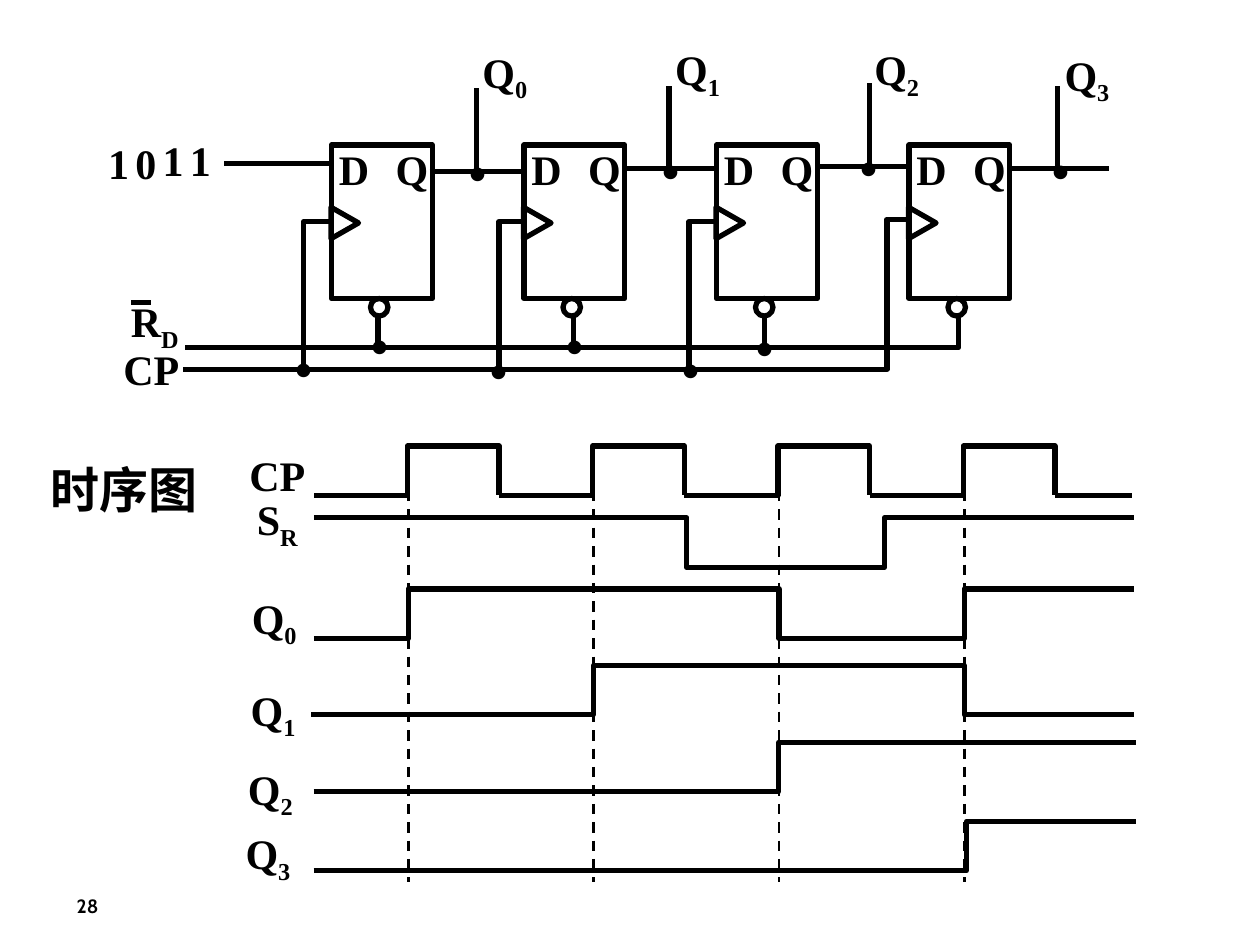
from dataclasses import dataclass

from lxml.etree import SubElement
from pptx import Presentation
from pptx.dml.color import RGBColor
from pptx.enum.dml import MSO_LINE_DASH_STYLE as Dash
from pptx.enum.shapes import MSO_CONNECTOR as Link, MSO_SHAPE as Form
from pptx.enum.text import PP_ALIGN as Align
from pptx.oxml.ns import qn
from pptx.util import Pt

BLACK = RGBColor(0, 0, 0)
SERIF = "Times New Roman"
FLIP_X, FLIP_Y, FLIP_GAP = 189.4, 82.8, 110
EDGE_X, EDGE_GAP = 233.3, 105.9
SWING = 28.2  # height of every signal step

Point = tuple[float, float]


@dataclass
class Label:
    x: float
    y: float
    text: str
    sub: str = ""


@dataclass
class Wave:
    start: float
    edges: list[float]
    end: float
    top: float
    high: bool = False


deck = Presentation()
deck.slide_width, deck.slide_height = Pt(720), Pt(540)
slide = deck.slides.add_slide(deck.slide_layouts[6])
shapes = slide.shapes


def write(x: float, y: float, w: float, h: float, text: str, *, sub: str = "",
          size: float = 24, font: str = SERIF, align: Align | None = None,
          gap: int = 50) -> None:
    """Add bold text, with an optional subscript and a gap above in percent."""
    frame = shapes.add_textbox(Pt(x), Pt(y), Pt(w), Pt(h)).text_frame
    frame.word_wrap = True
    para = frame.paragraphs[0]
    para.alignment = align
    if gap:
        before = SubElement(para._p.get_or_add_pPr(), qn("a:spcBef"))
        SubElement(before, qn("a:spcPct")).set("val", str(gap * 1000))
    for part in filter(None, (text, sub)):
        run = para.add_run()
        run.text = part
        run.font.name, run.font.size, run.font.bold = font, Pt(size), True
        run.font.color.rgb = BLACK
    if sub:
        run.font._element.set("baseline", "-25000")


def label(item: Label) -> None:
    write(item.x, item.y, 59, 36, item.text, sub=item.sub)


def ink(shape) -> None:
    """Give a shape a black outline and no fill."""
    shape.shadow.inherit = False
    shape.fill.background()
    shape.line.color.rgb = BLACK
    shape.line.width = Pt(3)


def line(x1: float, y1: float, x2: float, y2: float, *,
         width: float = 3, dash: Dash | None = None) -> None:
    wire = shapes.add_connector(Link.STRAIGHT, Pt(x1), Pt(y1), Pt(x2), Pt(y2))
    wire.line.color.rgb = BLACK
    wire.line.width = Pt(width)
    if dash:
        wire.line.dash_style = dash
    SubElement(wire._element.spPr, qn("a:effectLst"))


def trace(points: list[Point]) -> None:
    """Draw an open bent line."""
    spots = [(Pt(x), Pt(y)) for x, y in points]
    pen = shapes.build_freeform(*spots[0])
    pen.add_line_segments(spots[1:], close=False)
    ink(pen.convert_to_shape())


def form(kind: Form, x: float, y: float, w: float, h: float,
         turn: float = 0) -> None:
    shape = shapes.add_shape(kind, Pt(x), Pt(y), Pt(w), Pt(h))
    shape.rotation = turn
    ink(shape)


def signal(wave: Wave) -> None:
    """Draw a square wave that switches at each edge."""
    high = wave.high
    level = {True: wave.top, False: wave.top + SWING}
    points = [(wave.start, level[high])]
    for x in wave.edges:
        points += [(x, level[high]), (x, level[not high])]
        high = not high
    trace(points + [(wave.end, level[high])])


def flip(x: float) -> None:
    """Draw one D flip-flop whose left side is at x."""
    form(Form.RECTANGLE, x, FLIP_Y, 57.6, 87.8)
    form(Form.ISOSCELES_TRIANGLE, x - 1.4, FLIP_Y + 36.7, 18, 15.8, 90)
    write(x - 2.9, FLIP_Y - 4.3, 46.8, 36, "D")
    write(x + 29.6, FLIP_Y - 4.3, 46.8, 36, "Q")
    form(Form.OVAL, x + 22.3, FLIP_Y + 87.8, 10, 10)


# Page number and heading
write(14.4, 507.6, 71.3, 26.6, "28", size=11, font="Cabin",
      align=Align.CENTER, gap=0)
write(21.6, 259.2, 116.6, 44.6, "时序图", size=28)

# Clock pulses, then the dashed rising edges
for i in range(4):
    x = 187.9 + i * EDGE_GAP
    trace([(x, 283), (x + 44.8, 283), (x + 44.8, 254.9),
           (x + 97.2, 254.9), (x + 97.2, 283)])
    line(x + 3.8, 283, x - 8.6, 283)
line(602.9, 283, 646.6, 283)
for i in range(4):
    x = EDGE_X + i * EDGE_GAP
    line(x, 259.5, x, 504, width=1.5, dash=Dash.DASH)

# Signals
edge = [EDGE_X + i * EDGE_GAP for i in range(4)]
for wave in (
    Wave(179.3, [392.4, 505.4], 648, 295.9, high=True),
    Wave(179.3, [edge[0], edge[2], edge[3]], 648, 336.6),
    Wave(177.8, [edge[1], edge[3]], 648, 380.2),
    Wave(179.3, [edge[2]], 649.4, 424.1),
    Wave(179.3, [edge[3] + 1.2], 649.4, 469.4),
):
    signal(wave)
for item in (
    Label(135.4, 253.4, "CP"), Label(139.7, 278.6, "S", "R"),
    Label(136.8, 334.8, "Q", "0"), Label(136.1, 387.4, "Q", "1"),
    Label(134.6, 432.7, "Q", "2"), Label(133.2, 469.4, "Q", "3"),
):
    label(item)

# Flip-flops
for i in range(4):
    flip(FLIP_X + i * FLIP_GAP)

# Reset and clock buses with their branches
trace([(547.9, 180), (547.9, 198.7), (105.8, 198.7)])
for x, end in ((437, 200.2), (327.6, 198.7), (216, 197.3)):
    line(x, 180, x, end)
trace([(519.8, 125.3), (506.9, 125.3), (506.9, 211), (104.4, 211)])
for x, end in ((393.8, 209.5), (285.1, 211), (173.5, 211)):
    trace([(x + 14.4, 126.7), (x, 126.7), (x, end)])

# Data wires and output taps
for x1, x2, y in ((187.9, 128.2, 93.6), (245.5, 299.5, 97.9),
                  (357.1, 409.7, 96.5), (468.7, 521.3, 95),
                  (577.4, 633.6, 96.5)):
    line(x1, y, x2, y)
for x, low, top in ((272.5, 96.5, 50.4), (382.3, 95.8, 49),
                    (496.8, 93.6, 47.5), (604.1, 95, 49)):
    line(x, low, x, top)

# Circuit labels
for item in (
    Label(63.4, 193, "CP"),
    Label(268.6, 23, "Q", "0"), Label(378.7, 21.6, "Q", "1"),
    Label(492.5, 21.6, "Q", "2"), Label(601.2, 24.5, "Q", "3"),
    Label(67.7, 165.6, "R", "D"),
):
    label(item)
line(74.9, 172.8, 86.4, 172.8)

# Junction dots
for x, y in ((259.9, 51.8), (370.1, 50.4), (483.8, 49), (593.3, 50.4),
             (381.6, 164.2), (272.2, 164.9), (160.6, 163.4),
             (203.8, 150.5), (315.4, 150.5), (424.1, 151.9)):
    write(x, y, 61.9, 64.8, ".", size=48)

# Serial input bits, last one first
for i, (bit, y) in enumerate((("1", 73.4), ("1", 73.4),
                              ("0", 74.9), ("1", 74.9))):
    write(101.5 - i * 15.6, y, 38.2, 36, bit)

deck.save("out.pptx")
